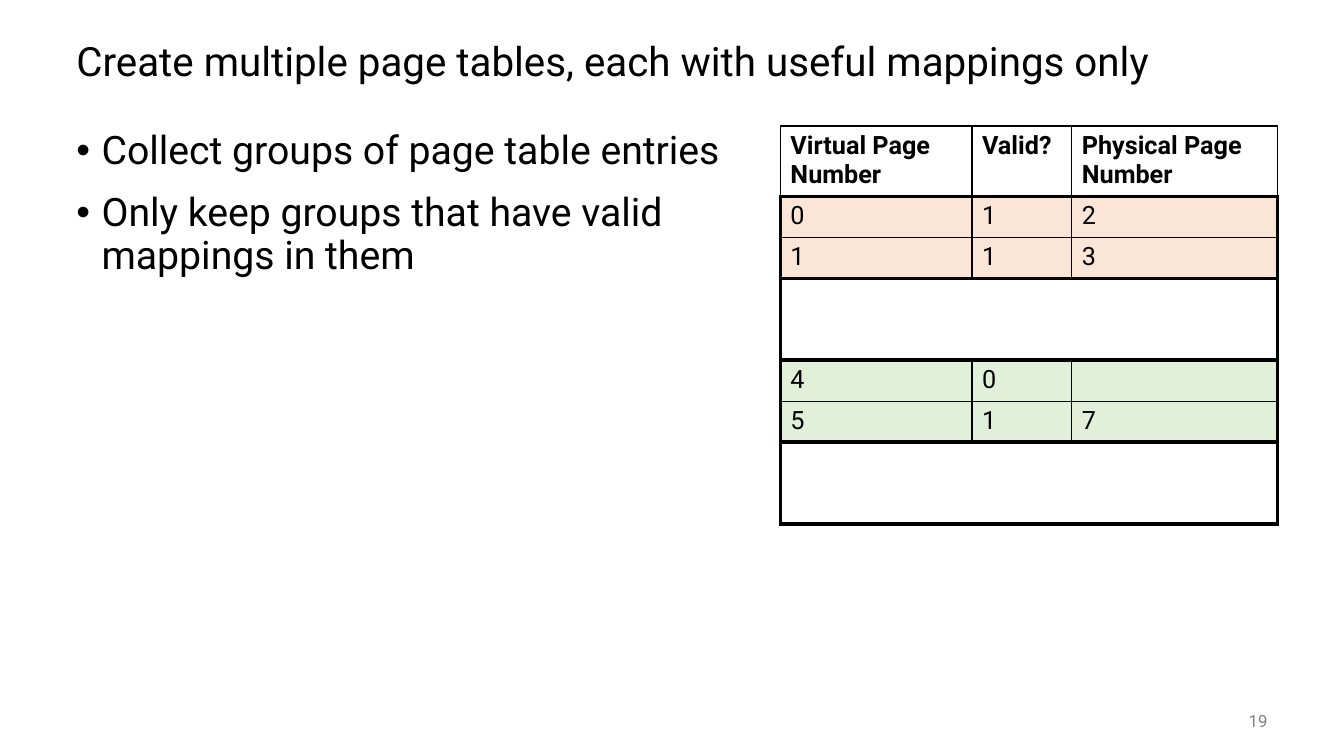
from lxml import etree
from pptx import Presentation
from pptx.dml.color import RGBColor
from pptx.enum.text import MSO_ANCHOR as Anchor, PP_ALIGN as Align
from pptx.oxml.ns import qn
from pptx.util import Inches, Pt

COLORS = {
    "text": "000000",
    "number": "808080",
    "first group": "FBE5D6",
    "second group": "E2F0D9",
    "dropped": "FFFFFF",
}


def style(paragraph, size, color="text", bold=False):
    font = paragraph.font
    font.name, font.size, font.bold = "Roboto", Pt(size), bold
    font.color.rgb = RGBColor.from_string(COLORS[color])


def add_text(left, top, width, height, lines, anchor):
    box = slide.shapes.add_textbox(
        Inches(left), Inches(top), Inches(width), Inches(height))
    frame = box.text_frame
    frame.word_wrap = True
    frame.vertical_anchor = anchor
    frame.text = "\n".join(lines)
    return frame.paragraphs


prs = Presentation()
prs.slide_width, prs.slide_height = Inches(13.33), Inches(7.5)
slide = prs.slides.add_slide(prs.slide_layouts[6])

# Title
[title] = add_text(0.66, 0.25, 12, 0.75, [
    "Create multiple page tables, each with useful mappings only"], Anchor.MIDDLE)
title.line_spacing = 0.9
style(title, 28.8)

# Slide number
[number] = add_text(11.67, 6.95, 1, 0.4, ["19"], Anchor.MIDDLE)
number.alignment = Align.RIGHT
style(number, 12, "number")

# Page table: a header, then groups of two rows
entries = [
    ("Virtual Page Number", "Valid?", "Physical Page Number"),
    ("0", "1", "2"),
    ("1", "1", "3"),
    ("", "", ""),
    ("", "", ""),
    ("4", "0", ""),
    ("5", "1", "7"),
    ("", "", ""),
    ("", "", ""),
]
groups = ["first group", "dropped", "second group", "dropped"]
column_widths = [1.9, 0.99, 2.04]
header_height, table_height = 0.68, 3.93
page_table = slide.shapes.add_table(
    len(entries), 3, Inches(7.74), Inches(1.25),
    Inches(sum(column_widths)), Inches(table_height)).table
for column, width in zip(page_table.columns, column_widths):
    column.width = Inches(width)

for r, entry in enumerate(entries):
    header = r == 0
    page_table.rows[r].height = Inches(
        header_height if header else (table_height - header_height) / 8)
    group = None if header else groups[(r - 1) // 2]
    starts_group = r % 2 == 1
    # Thick lines surround each group; dropped groups have none inside
    inner = 0 if group == "dropped" else 1
    for c, value in enumerate(entry):
        cell = page_table.cell(r, c)
        cell.text = value
        style(cell.text_frame.paragraphs[0], 18, bold=header)
        borders = {
            "a:lnL": 3 if c == 0 and not header else inner,
            "a:lnR": 3 if c == 2 and not header else inner,
            "a:lnT": 3 if starts_group else inner,
            "a:lnB": inner if starts_group else 3,
        }
        properties = cell._tc.get_or_add_tcPr()
        for side, points in borders.items():
            line = etree.SubElement(properties, qn(side), w=str(Pt(points)))
            if points:
                ink = etree.SubElement(line, qn("a:solidFill"))
                etree.SubElement(ink, qn("a:srgbClr"), val=COLORS["text"])
            else:
                etree.SubElement(line, qn("a:noFill"))
        if header:
            cell.fill.background()
        else:
            cell.fill.solid()
            cell.fill.fore_color.rgb = RGBColor.from_string(COLORS[group])

# Bullet points
points = add_text(0.66, 1.25, 6.93, 5.5, [
    "Collect groups of page table entries",
    "Only keep groups that have valid mappings in them"], Anchor.TOP)
for i, point in enumerate(points):
    point.line_spacing = 0.9
    point.space_before = Pt(14 if i else 0)
    indents = point._p.get_or_add_pPr()
    indents.set("marL", str(Inches(0.25)))
    indents.set("indent", str(-Inches(0.25)))
    etree.SubElement(indents, qn("a:buFont"), typeface="Arial")
    etree.SubElement(indents, qn("a:buChar"), char="•")
    style(point, 28)

prs.save("out.pptx")
